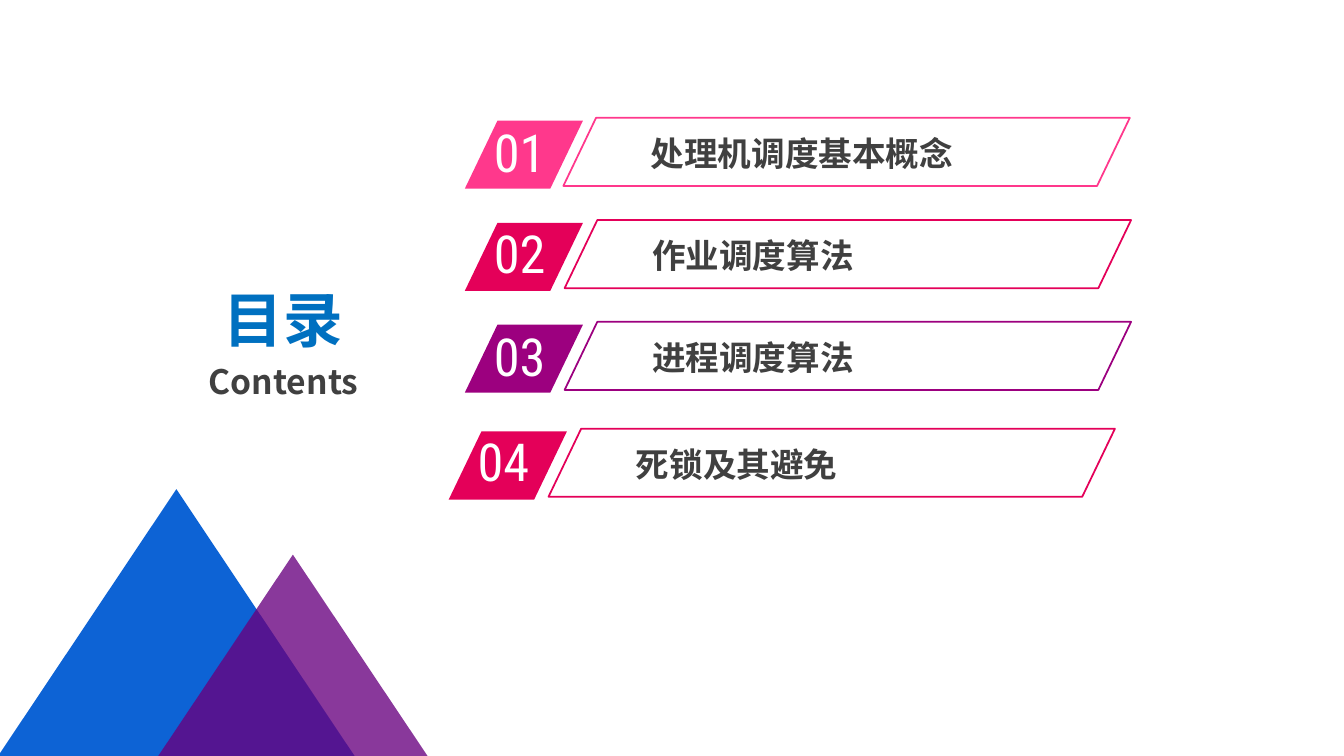
"""Build a contents slide with four slanted entries and two triangles."""
from dataclasses import dataclass

from lxml.etree import SubElement
from pptx import Presentation
from pptx.dml.color import RGBColor
from pptx.enum.shapes import MSO_SHAPE
from pptx.enum.text import MSO_ANCHOR, PP_ALIGN
from pptx.oxml.ns import qn
from pptx.shapes.autoshape import Shape
from pptx.slide import Slide
from pptx.text.text import TextFrame
from pptx.util import Pt

COLORS = {
    "pink": "FF388C",
    "red": "E40059",
    "purple": "9C007F",
    "violet": "68007F",
    "blue": "005BD3",
    "title": "0070C0",
    "dark": "404040",
    "white": "FFFFFF",
}
CJK = "Noto Sans CJK SC"
CONDENSED = "Roboto Condensed"
ROW_H = 48.6


@dataclass
class Entry:
    """One line of the contents; lengths in points."""
    number: str
    title: str
    color: str
    left: float
    top: float
    frame_dx: float = 71.3
    number_dy: float = -5


@dataclass
class Triangle:
    """A translucent triangle; lengths in points, opacity in percent."""
    left: float
    top: float
    width: float
    height: float
    color: str
    opacity: int


ENTRIES = [
    Entry("01", "处理机调度基本概念", "pink", 332, 86.2, 70.4, -3.6),
    Entry("02", "作业调度算法", "red", 332, 159.2),
    Entry("03", "进程调度算法", "purple", 332, 231.9, number_dy=-3.6),
    Entry("04", "死锁及其避免", "red", 320.5, 308.2),
]
TRIANGLES = [
    Triangle(-10, 349.4, 272, 203.6, "blue", 95),
    Triangle(106.6, 396.2, 205.2, 153.4, "violet", 78),
]


def rgb(name: str) -> RGBColor:
    """Look up a named colour."""
    return RGBColor.from_string(COLORS[name])


def add_text(tf: TextFrame, text: str, *, size: float, color: str, font: str = CJK,
             bold: bool = False, align: PP_ALIGN = PP_ALIGN.LEFT,
             before: float = 0, first: bool = True) -> None:
    """Write one formatted paragraph into a text frame."""
    p = tf.paragraphs[0] if first else tf.add_paragraph()
    p.alignment = align
    if before:
        p.space_before = Pt(before)
    r = p.add_run()
    r.text = text
    r.font.size = Pt(size)
    r.font.bold = bold
    r.font.color.rgb = rgb(color)
    r.font.name = font
    SubElement(r._r.get_or_add_rPr(), qn("a:ea")).set("typeface", font)


def add_box(s: Slide, left: float, top: float, width: float, height: float) -> TextFrame:
    """Add a wrapping text box and return its text frame."""
    tf = s.shapes.add_textbox(Pt(left), Pt(top), Pt(width), Pt(height)).text_frame
    tf.word_wrap = True
    return tf


def add_slanted(s: Slide, left: float, top: float, width: float) -> Shape:
    """Add a plain parallelogram of the row height."""
    sp = s.shapes.add_shape(MSO_SHAPE.PARALLELOGRAM, Pt(left), Pt(top), Pt(width), Pt(ROW_H))
    sp.adjustments[0] = 0.48
    sp.shadow.inherit = False
    return sp


def draw_entry(s: Slide, entry: Entry) -> None:
    """Draw the numbered badge, the outlined frame and the title of an entry."""
    badge = add_slanted(s, entry.left, entry.top, 84.4)
    badge.fill.solid()
    badge.fill.fore_color.rgb = rgb(entry.color)
    badge.line.fill.background()
    tf = add_box(s, entry.left + 13.6, entry.top + entry.number_dy, 80.6, 52.6)
    add_text(tf, entry.number, size=37.4, color="white", font=CONDENSED)

    frame_left = entry.left + entry.frame_dx
    tf = add_box(s, frame_left + 55.4, entry.top + 5.4, 297, 36)
    add_text(tf, entry.title, size=24, color="dark", bold=True)
    frame = add_slanted(s, frame_left, entry.top - 2, 404.6)
    frame.fill.background()
    frame.line.color.rgb = rgb(entry.color)
    frame.line.width = Pt(1.25)


def draw_triangle(s: Slide, tri: Triangle) -> None:
    """Draw a translucent triangle."""
    sp = s.shapes.add_shape(MSO_SHAPE.ISOSCELES_TRIANGLE, Pt(tri.left), Pt(tri.top),
                            Pt(tri.width), Pt(tri.height))
    sp.shadow.inherit = False
    sp.line.fill.background()
    sp.fill.solid()
    sp.fill.fore_color.rgb = rgb(tri.color)
    clr = sp._element.spPr.find(qn("a:solidFill")).find(qn("a:srgbClr"))
    SubElement(clr, qn("a:alpha")).set("val", str(tri.opacity * 1000))


def main() -> None:
    """Build and save the slide."""
    prs = Presentation()
    prs.slide_width, prs.slide_height = Pt(960), Pt(540)
    s = prs.slides.add_slide(prs.slide_layouts[6])
    tf = add_box(s, 84.2, 218.2, 236.8, 52)
    tf.vertical_anchor = MSO_ANCHOR.MIDDLE
    add_text(tf, "目录", size=42.6, color="title", bold=True, align=PP_ALIGN.CENTER)
    add_text(tf, "Contents", size=24, color="dark", bold=True, align=PP_ALIGN.CENTER,
             before=4.8, first=False)
    for tri in TRIANGLES:
        draw_triangle(s, tri)
    for entry in ENTRIES:
        draw_entry(s, entry)
    prs.save("out.pptx")


if __name__ == "__main__":
    main()
